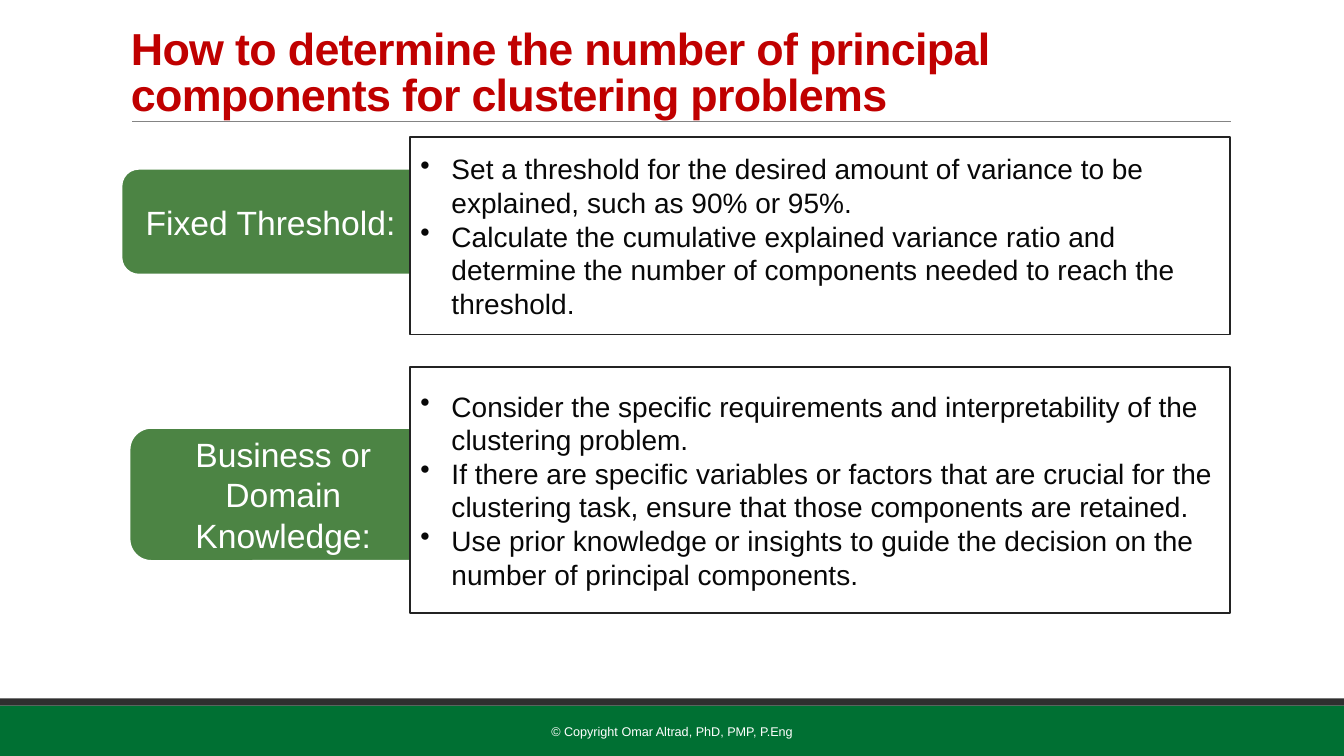
from pptx import Presentation
from pptx.dml.color import RGBColor
from pptx.enum.shapes import MSO_CONNECTOR, MSO_SHAPE
from pptx.enum.text import MSO_ANCHOR, PP_ALIGN
from pptx.oxml.ns import qn
from pptx.util import Inches, Pt
from lxml.etree import SubElement


def color(hex_string):
    return RGBColor.from_string(hex_string)


class SlideBuilder:
    font_name = "Arial"
    red, green, dark_green = "C00000", "4C8444", "007033"
    white, ink, charcoal, gray = "FFFFFF", "080808", "2F2F2F", "848484"
    border = "232323"

    def __init__(self, page):
        self.page = page

    def block(self, kind, bounds, fill, line=None, line_width=1):
        shape = self.page.shapes.add_shape(kind, *map(Inches, bounds))
        shape.shadow.inherit = False
        shape.fill.solid()
        shape.fill.fore_color.rgb = color(fill)
        if line:
            shape.line.color.rgb = color(line)
            shape.line.width = Pt(line_width)
        else:
            shape.line.fill.background()
        return shape

    def rule(self, left, right, top):
        line = self.page.shapes.add_connector(
            MSO_CONNECTOR.STRAIGHT, Inches(left), Inches(top), Inches(right), Inches(top))
        line.line.color.rgb = color(self.gray)
        line.line.width = Pt(0.5)
        SubElement(line._element.spPr, qn("a:effectLst"))

    def set_text(self, shape, texts, size, text_color, align=PP_ALIGN.LEFT, bold=False):
        frame = shape.text_frame
        frame.word_wrap = True
        frame.vertical_anchor = MSO_ANCHOR.MIDDLE
        for index, text in enumerate(texts):
            para = frame.add_paragraph() if index else frame.paragraphs[0]
            para.text = text
            para.alignment = align
            para.font.name = self.font_name
            para.font.size = Pt(size)
            para.font.bold = bold
            para.font.color.rgb = color(text_color)
        return frame.paragraphs

    def text_box(self, bounds, text, size, text_color, **style):
        box = self.page.shapes.add_textbox(*map(Inches, bounds))
        return self.set_text(box, [text], size, text_color, **style)[0]

    def title(self, bounds, text):
        para = self.text_box(bounds, text, 32, self.red, bold=True)
        para.line_spacing = 0.85
        para._p.pPr.find(qn("a:defRPr")).set("spc", "-50")

    def label(self, bounds, text):
        shape = self.block(MSO_SHAPE.ROUNDED_RECTANGLE, bounds, self.green, self.white, 2)
        self.set_text(shape, [text], 24, self.white, PP_ALIGN.CENTER)

    def bullet_box(self, bounds, texts):
        shape = self.block(MSO_SHAPE.RECTANGLE, bounds, self.white, self.border, 1.25)
        for para in self.set_text(shape, texts, 20, self.ink):
            properties = para._p.pPr
            properties.set("marL", str(Inches(0.31)))
            properties.set("indent", str(Inches(-0.31)))
            bullet = properties.makeelement(qn("a:buChar"), {"char": "•"})
            properties.find(qn("a:defRPr")).addprevious(bullet)


METHODS = [
    ("Fixed Threshold: ", (1.2, 1.67, 3.06, 1.06), (4.07, 1.36, 8.13, 1.96), [
        "Set a threshold for the desired amount of variance to be explained, "
        "such as 90% or 95%.",
        "Calculate the cumulative explained variance ratio and determine the number of "
        "components needed to reach the threshold.",
    ]),
    ("Business or Domain Knowledge:", (1.28, 4.24, 3.06, 1.33), (4.07, 3.64, 8.13, 2.44), [
        "Consider the specific requirements and interpretability of the clustering problem.",
        "If there are specific variables or factors that are crucial for the clustering task, "
        "ensure that those components are retained.",
        "Use prior knowledge or insights to guide the decision on the number of "
        "principal components.",
    ]),
]


def main():
    deck = Presentation()
    deck.slide_width, deck.slide_height = Inches(13.33), Inches(7.5)
    builder = SlideBuilder(deck.slides.add_slide(deck.slide_layouts[6]))

    builder.block(MSO_SHAPE.RECTANGLE, (0, 7, 13.33, 0.5), builder.dark_green)
    builder.block(MSO_SHAPE.RECTANGLE, (0, 6.93, 13.33, 0.07), builder.charcoal)
    builder.rule(1.31, 12.21, 1.2)
    builder.title((1.2, 0.31, 11, 0.86),
                  "How to determine the number of principal\vcomponents for clustering problems")
    builder.text_box((4.03, 7.06, 5.27, 0.4), "© Copyright Omar Altrad, PhD, PMP, P.Eng",
                     9, builder.white, align=PP_ALIGN.CENTER)
    for name, label_bounds, box_bounds, points in METHODS:
        builder.label(label_bounds, name)
        builder.bullet_box(box_bounds, points)

    deck.save("out.pptx")


if __name__ == "__main__":
    main()
